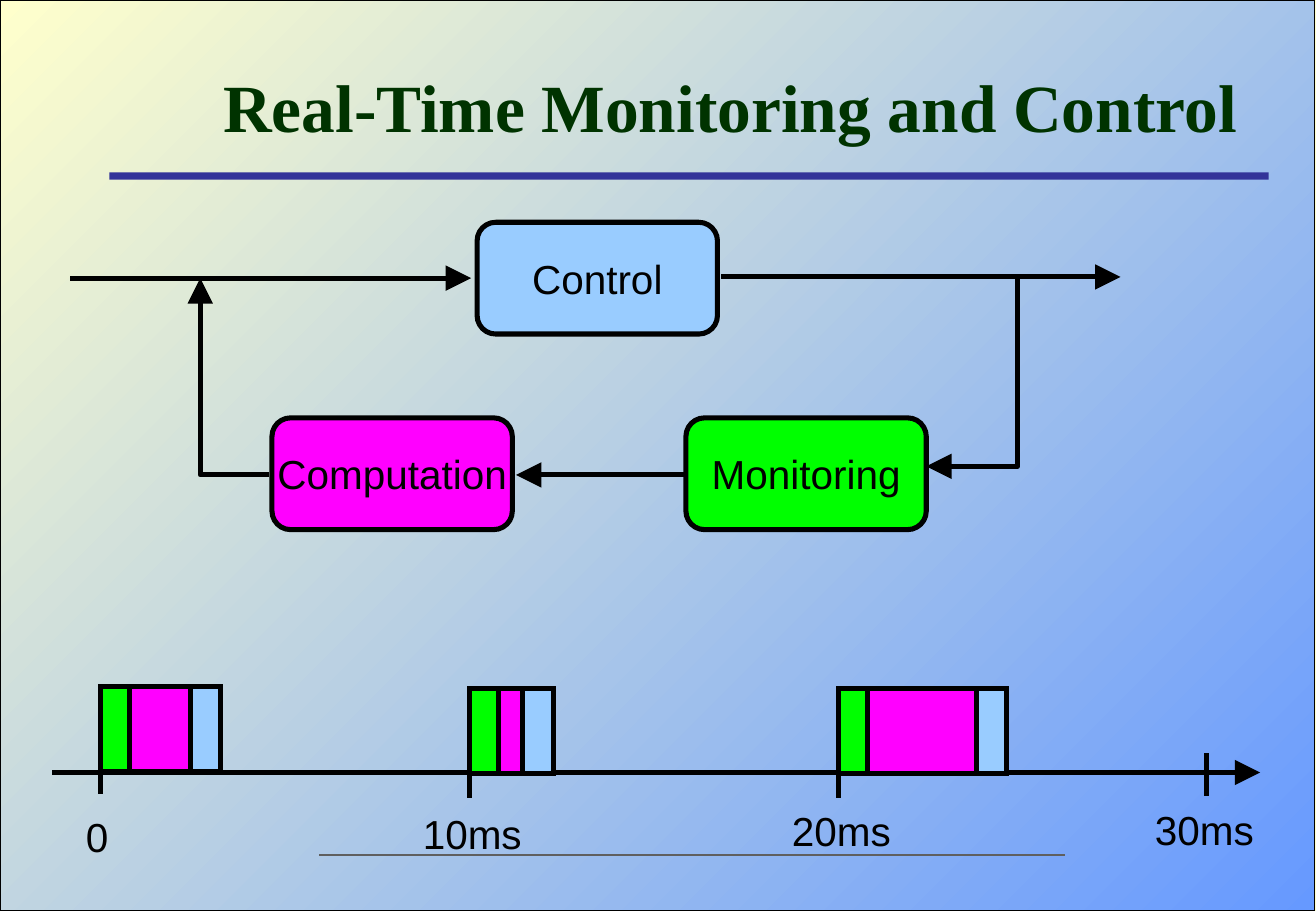
from dataclasses import dataclass

from pptx import Presentation
from pptx.dml.color import RGBColor
from pptx.enum.shapes import MSO_CONNECTOR, MSO_SHAPE
from pptx.enum.text import MSO_ANCHOR, MSO_AUTO_SIZE, PP_ALIGN
from pptx.oxml.ns import qn
from pptx.util import Inches, Pt
from lxml import etree

RECT = MSO_SHAPE.RECTANGLE
PROCESS = MSO_SHAPE.FLOWCHART_ALTERNATE_PROCESS
STRAIGHT = MSO_CONNECTOR.STRAIGHT
CENTER = PP_ALIGN.CENTER
MIDDLE, TOP = MSO_ANCHOR.MIDDLE, MSO_ANCHOR.TOP
GROW = MSO_AUTO_SIZE.SHAPE_TO_FIT_TEXT


@dataclass(frozen=True)
class Theme:
    ink: str = "000000"
    title: str = "003300"
    rule: str = "333399"
    footer: str = "5F5F5F"
    paper: str = "FFFFCC"
    depth: str = "6699FF"
    control: str = "99CCFF"
    monitoring: str = "00FF00"
    computation: str = "FF00FF"
    title_font: str = "Times New Roman"
    body_font: str = "Arial"
    title_size: float = 40
    body_size: float = 24
    stroke: float = 3
    footer_stroke: float = 1.5
    frame_stroke: float = 0.75


def rgb(value):
    return RGBColor.from_string(value)


def apply(target, values):
    for name, value in values.items():
        setattr(target, name, value)


class DiagramSlide:
    def __init__(self, slide, theme):
        self.slide = slide
        self.theme = theme

    def _stroke(self, line, color=None, width=None, arrow=False, miter=False):
        line.fill.solid()
        line.fill.fore_color.rgb = rgb(color or self.theme.ink)
        line.width = Pt(width or self.theme.stroke)
        ln = line._get_or_add_ln()
        if miter:
            etree.SubElement(ln, qn("a:miter"), lim="800000")
        if arrow:
            etree.SubElement(ln, qn("a:tailEnd"), type="triangle", w="lg", len="lg")

    def _text(self, frame, text, anchor=MIDDLE, wrap=False, **font):
        apply(frame, {
            "margin_left": Inches(0.1), "margin_right": Inches(0.1),
            "margin_top": Inches(0.05), "margin_bottom": Inches(0.05),
            "vertical_anchor": anchor, "word_wrap": wrap,
        })
        paragraph = frame.paragraphs[0]
        paragraph.text = text
        paragraph.alignment = CENTER
        style = {"name": self.theme.body_font, "size": Pt(self.theme.body_size), "bold": False}
        apply(paragraph.font, {**style, **font})
        paragraph.font.color.rgb = rgb(self.theme.ink)
        return paragraph

    def box(self, left, top, width, height, fill, kind=RECT, outlined=True, parent=None):
        shape = (parent or self.slide).shapes.add_shape(
            kind, Inches(left), Inches(top), Inches(width), Inches(height))
        shape.shadow.inherit = False
        shape.fill.solid()
        shape.fill.fore_color.rgb = rgb(fill)
        if outlined:
            self._stroke(shape.line, miter=kind == RECT)
        else:
            shape.line.fill.background()
        return shape

    def process(self, left, top, text, fill):
        shape = self.box(left, top, 1.98, 0.92, fill, PROCESS)
        self._text(shape.text_frame, text)

    def backdrop(self, width, height):
        """Gradient panel with a thin frame, filling the slide."""
        background = self.slide.background.fill
        background.solid()
        background.fore_color.rgb = rgb(self.theme.paper)
        panel = self.box(0, 0, width, height, self.theme.paper)
        panel.fill.gradient()
        panel.fill.gradient_angle = 135
        for stop, color in zip(panel.fill.gradient_stops, (self.theme.depth, self.theme.paper)):
            stop.color.rgb = rgb(color)
        self._stroke(panel.line, width=self.theme.frame_stroke)

    def title(self, text, left, top, width, height):
        """Fill the title placeholder and bring it in front of the backdrop."""
        title = self.slide.shapes.title
        apply(title, {"left": Inches(left), "top": Inches(top),
                      "width": Inches(width), "height": Inches(height)})
        paragraph = self._text(title.text_frame, text, wrap=True, bold=True,
                               name=self.theme.title_font, size=Pt(self.theme.title_size))
        paragraph.font.color.rgb = rgb(self.theme.title)
        self.slide.shapes._spTree.append(title._element)

    def line(self, start, end, **stroke):
        connector = self.slide.shapes.add_connector(STRAIGHT, *map(Inches, start + end))
        self._stroke(connector.line, **stroke)
        etree.SubElement(connector._element.spPr, qn("a:effectLst"))

    def elbow_arrow(self, start, *points):
        builder = self.slide.shapes.build_freeform(*map(Inches, start))
        builder.add_line_segments([tuple(map(Inches, point)) for point in points], close=False)
        path = builder.convert_to_shape()
        path.shadow.inherit = False
        path.fill.background()
        self._stroke(path.line, arrow=True)

    def label(self, center, top, text, width):
        frame = self.slide.shapes.add_textbox(
            Inches(center - width / 2), Inches(top), Inches(width), Inches(0.5)).text_frame
        self._text(frame, text, anchor=TOP)
        frame.auto_size = GROW

    def task_group(self, left, top, computing):
        """One cycle of monitoring, computation and control, side by side."""
        group = self.slide.shapes.add_group_shape()
        theme, step = self.theme, 0.24
        tasks = [(0, 0.25, theme.monitoring), (step, computing, theme.computation),
                 (step + computing, 0.25, theme.control)]
        for offset, width, fill in tasks:
            self.box(left + offset, top, width, 0.7, fill, parent=group)


def main():
    prs = Presentation()
    prs.slide_width, prs.slide_height = Inches(10.84), Inches(7.5)
    theme = Theme()
    page = DiagramSlide(prs.slides.add_slide(prs.slide_layouts[5]), theme)

    page.backdrop(10.83, 7.5)
    page.box(0.9, 1.42, 9.55, 0.06, theme.rule, outlined=False)
    page.line((2.63, 7.04), (8.77, 7.04), color=theme.footer, width=theme.footer_stroke)
    page.title("Real-Time Monitoring and Control", 1.56, 0.33, 8.91, 1.08)

    # Control loop
    page.line((0.58, 2.29), (3.88, 2.29), arrow=True)
    page.line((5.94, 2.28), (9.23, 2.28), arrow=True)
    page.line((5.67, 3.91), (4.25, 3.91), arrow=True)
    page.process(3.93, 1.83, "Control", theme.control)
    page.process(5.65, 3.44, "Monitoring", theme.monitoring)
    page.process(2.24, 3.44, "Computation", theme.computation)
    page.elbow_arrow((8.38, 2.28), (8.38, 3.84), (7.63, 3.84))
    page.elbow_arrow((2.22, 3.91), (1.65, 3.91), (1.65, 2.29))

    # Timeline: tick top, label centre, top, width and text, task top, computing width
    page.line((0.43, 6.36), (10.38, 6.36), arrow=True)
    cycles = [
        (6.19, 0.80, 6.64, 0.38, "0", 5.65, 0.5),
        (6.22, 3.89, 6.61, 1.02, "10ms", 5.67, 0.2),
        (6.22, 6.93, 6.59, 1.02, "20ms", 5.67, 0.9),
        (6.20, 9.92, 6.58, 1.02, "30ms", None, None),
    ]
    origin, period = 0.83, 9.11 / 3
    for index, (tick, center, label_top, width, text, task_top, computing) in enumerate(cycles):
        left = origin + index * period
        page.line((left, tick), (left, tick + 0.35))
        if computing:
            page.task_group(left, task_top, computing)
        page.label(center, label_top, text, width)

    prs.save("out.pptx")


if __name__ == "__main__":
    main()
